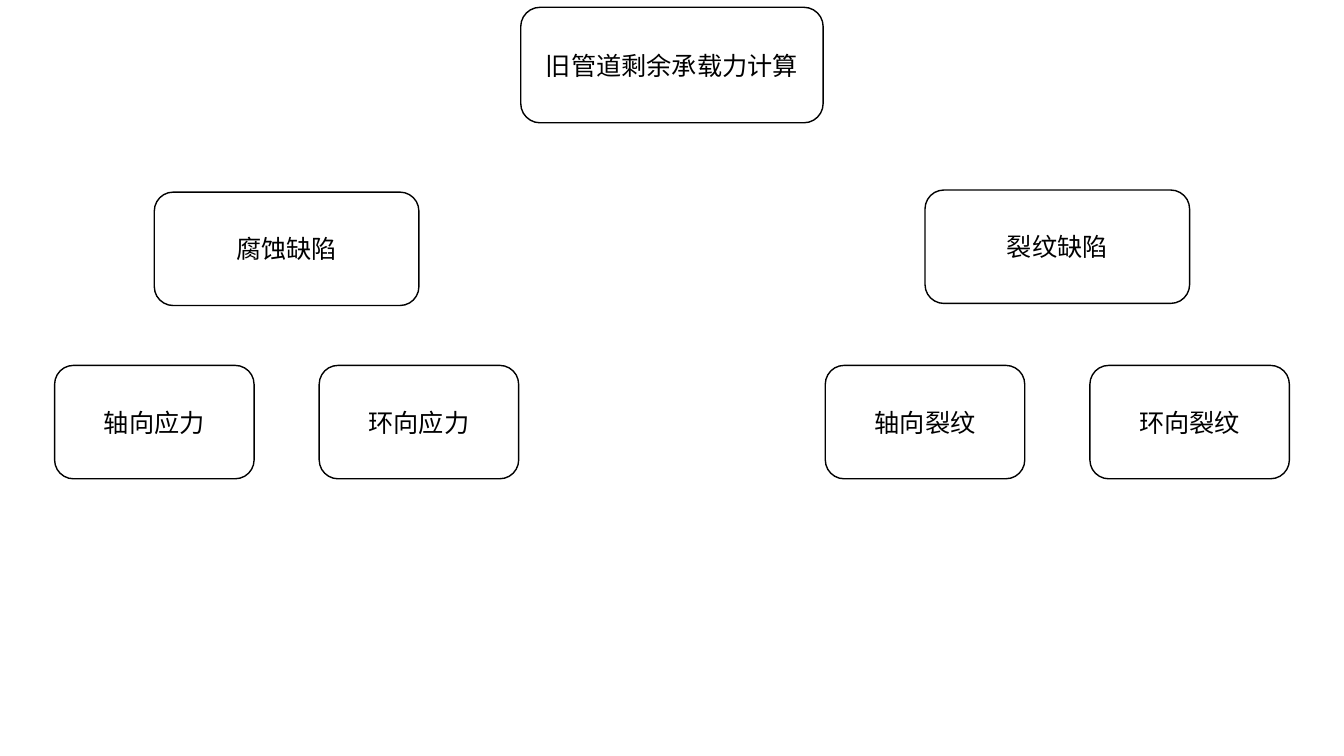
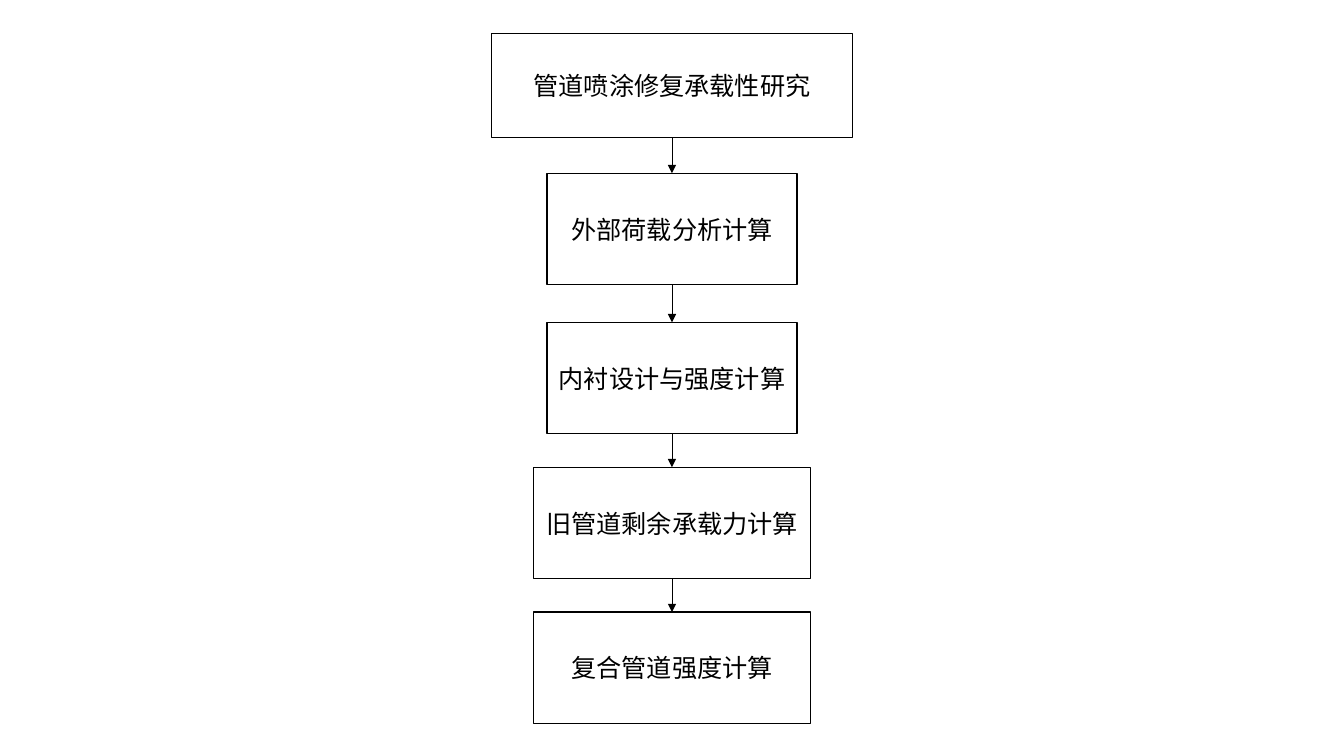
import dataclasses

import pptx
import pptx.dml.color
import pptx.enum.shapes
import pptx.enum.text
import pptx.oxml
import pptx.oxml.ns
import pptx.util

EMU_PER_PX = 9525
SLIDE_W, SLIDE_H = 1280, 720
CENTER = SLIDE_W // 2
SHAPES = pptx.enum.shapes.MSO_SHAPE
BOTTOM, TOP = 2, 0
BLANK_LAYOUT = 6


def px(n):
    return pptx.util.Emu(n * EMU_PER_PX)


@dataclasses.dataclass(frozen=True)
class Theme:
    ink: str = "000000"
    paper: str = "FFFFFF"
    font: str = "Calibri"
    text_pt: float = 18
    border_pt: float = 1
    arrow_pt: float = 0.5

    def color(self, name):
        return pptx.dml.color.RGBColor.from_string(getattr(self, name))


class Deck:
    def __init__(self, theme):
        self.theme = theme
        self.prs = pptx.Presentation()
        self.prs.slide_width, self.prs.slide_height = px(SLIDE_W), px(SLIDE_H)
        self.s = None

    def new_slide(self):
        self.s = self.prs.slides.add_slide(self.prs.slide_layouts[BLANK_LAYOUT])
        fill = self.s.background.fill
        fill.solid()
        fill.fore_color.rgb = self.theme.color("paper")

    def _stroke(self, line, width):
        line.color.rgb = self.theme.color("ink")
        line.width = pptx.util.Pt(width)

    def box(self, kind, text, center, top, width, height):
        """Add a labelled box centred horizontally on center."""
        sp = self.s.shapes.add_shape(
            kind, px(center - width // 2), px(top), px(width), px(height))
        sp.shadow.inherit = False
        sp.fill.solid()
        sp.fill.fore_color.rgb = self.theme.color("paper")
        self._stroke(sp.line, self.theme.border_pt)
        tf = sp.text_frame
        tf.word_wrap = True
        tf.vertical_anchor = pptx.enum.text.MSO_ANCHOR.MIDDLE
        p = tf.paragraphs[0]
        p.alignment = pptx.enum.text.PP_ALIGN.CENTER
        r = p.add_run()
        r.text = text
        r.font.name = self.theme.font
        r.font.size = pptx.util.Pt(self.theme.text_pt)
        r.font.color.rgb = self.theme.color("ink")
        return sp

    def arrow_down(self, upper, lower):
        c = self.s.shapes.add_connector(
            pptx.enum.shapes.MSO_CONNECTOR.STRAIGHT, 0, 0, 0, 0)
        c.begin_connect(upper, BOTTOM)
        c.end_connect(lower, TOP)
        self._stroke(c.line, self.theme.arrow_pt)
        qn = pptx.oxml.ns.qn
        props = c._element.spPr
        head = props.find(qn("a:ln")).makeelement(
            qn("a:tailEnd"), {"type": "triangle"})
        props.find(qn("a:ln")).append(head)
        props.append(props.makeelement(qn("a:effectLst"), {}))


def defect_tree(deck):
    branches = [
        ("腐蚀缺陷", 273, 183, ("轴向应力", "环向应力")),
        ("裂纹缺陷", 1007, 181, ("轴向裂纹", "环向裂纹")),
    ]
    kind = SHAPES.FLOWCHART_ALTERNATE_PROCESS
    height, leaf_top, leaf_offset = 108, 348, 126
    deck.new_slide()
    deck.box(kind, "旧管道剩余承载力计算", CENTER, 7, 288, 110)
    for text, center, top, leaves in branches:
        deck.box(kind, text, center, top, 252, height)
        for side, leaf in zip((-1, 1), leaves):
            deck.box(kind, leaf, center + side * leaf_offset, leaf_top, 190, height)


def research_flow(deck):
    steps = [
        ("管道喷涂修复承载性研究", 32, 344, 99),
        ("外部荷载分析计算", 165, 238, 106),
        ("内衬设计与强度计算", 307, 238, 106),
        ("旧管道剩余承载力计算", 445, 264, 106),
        ("复合管道强度计算", 583, 264, 106),
    ]
    deck.new_slide()
    boxes = [deck.box(SHAPES.FLOWCHART_PROCESS, text, CENTER, top, width, height)
             for text, top, width, height in steps]
    for upper, lower in zip(boxes, boxes[1:]):
        deck.arrow_down(upper, lower)


def main():
    deck = Deck(Theme())
    defect_tree(deck)
    research_flow(deck)
    deck.prs.save("out.pptx")


if __name__ == "__main__":
    main()
